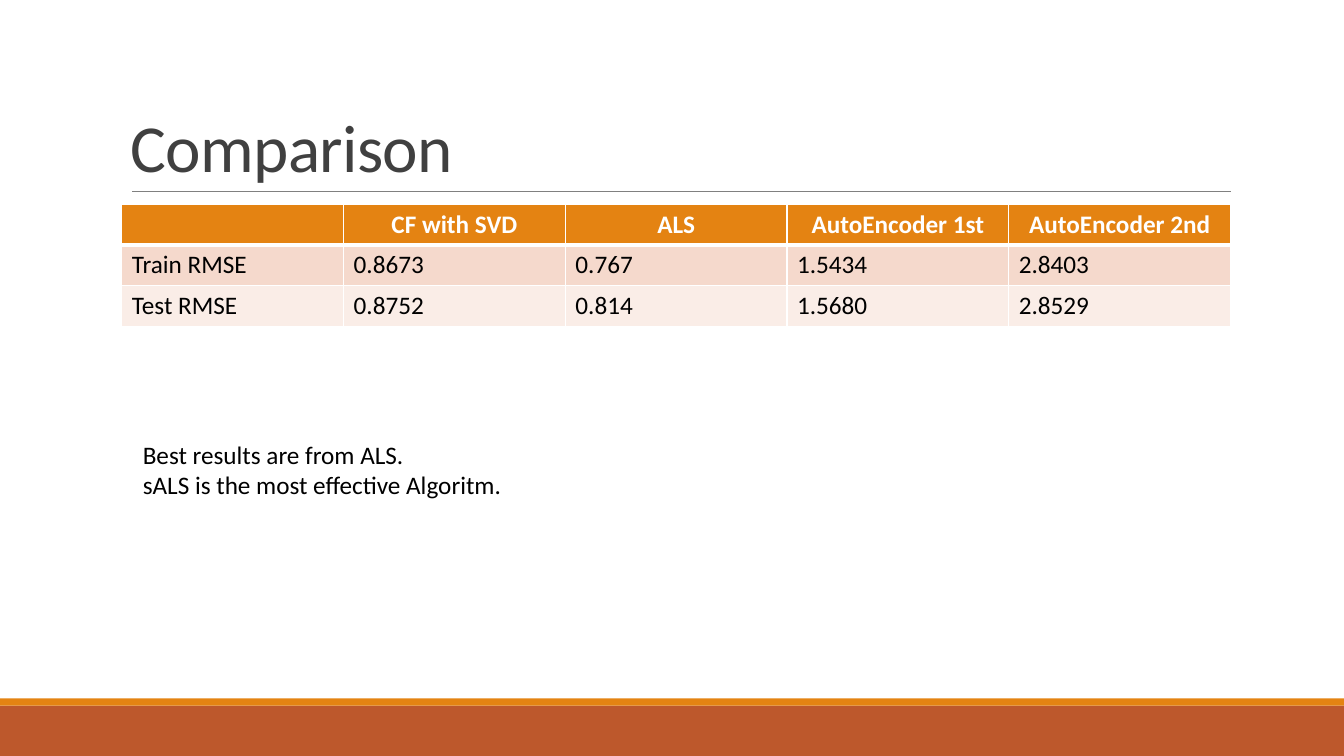
"""Build the slide that compares the errors of four recommenders."""
from dataclasses import dataclass

from lxml import etree
from pptx import Presentation
from pptx.dml.color import RGBColor
from pptx.enum.shapes import MSO_CONNECTOR, MSO_SHAPE
from pptx.enum.text import MSO_ANCHOR, PP_ALIGN
from pptx.oxml.ns import qn
from pptx.util import Cm, Pt

RECT = MSO_SHAPE.RECTANGLE
STRAIGHT = MSO_CONNECTOR.STRAIGHT
TOP, BOTTOM = MSO_ANCHOR.TOP, MSO_ANCHOR.BOTTOM
LEFT, CENTER = PP_ALIGN.LEFT, PP_ALIGN.CENTER

COLORS = {
    "rust": "BD582C",
    "orange": "E48312",
    "rule": "808080",
    "title": "404040",
    "text": "000000",
    "white": "FFFFFF",
    "odd": "F5D9CC",
    "even": "FAEDE7",
}
WIDE, HIGH = 33.87, 19.05
HEAD = {"size": Pt(18), "name": "Calibri", "bold": True}
BODY = {"size": Pt(18), "name": "Calibri", "bold": False}
TITLE = {"size": Pt(48), "name": "Calibri", "bold": False}

ROWS = [
    ["", "CF with SVD", "ALS", "AutoEncoder 1st", "AutoEncoder 2nd"],
    ["Train RMSE", "0.8673", "0.767", "1.5434", "2.8403"],
    ["Test RMSE", "0.8752", "0.814", "1.5680", "2.8529"],
]


@dataclass
class Band:
    top: float
    height: float
    color: str


@dataclass
class Note:
    box: tuple[float, float, float, float]
    lines: list[str]
    style: dict
    color: str
    anchor: MSO_ANCHOR
    wrap: bool
    pitch: float
    track: int


@dataclass
class Look:
    fill: str
    color: str
    style: dict
    align: PP_ALIGN
    edges: dict[str, float]


BANDS = [Band(17.78, 1.27, "rust"), Band(17.6, 0.18, "orange")]
NOTES = [
    Note((3.05, 0.79, 27.94, 4.04), ["Comparison"],
         TITLE, "title", BOTTOM, True, 0.85, -50),
    Note((3.35, 10.95, 9.65, 1.8),
         ["Best results are from ALS.", "sALS is the most effective Algoritm."],
         BODY, "text", TOP, False, 1.0, 0),
]
LOOKS = [
    Look("orange", "white", HEAD, CENTER, {"L": 1, "R": 1, "T": 1, "B": 3}),
    Look("odd", "text", BODY, LEFT, {"L": 1, "R": 1, "T": 3, "B": 1}),
    Look("even", "text", BODY, LEFT, {"L": 1, "R": 1, "T": 1, "B": 1}),
]


def rgb(name: str) -> RGBColor:
    return RGBColor.from_string(COLORS[name])


def paint(fill, name: str) -> None:
    fill.solid()
    fill.fore_color.rgb = rgb(name)


def style(font, values: dict, color: str) -> None:
    for key, value in values.items():
        setattr(font, key, value)
    font.color.rgb = rgb(color)


def add_band(slide, band: Band) -> None:
    shape = slide.shapes.add_shape(
        RECT, 0, Cm(band.top), Cm(WIDE), Cm(band.height))
    shape.shadow.inherit = False
    paint(shape.fill, band.color)
    shape.line.fill.background()


def add_rule(slide) -> None:
    rule = slide.shapes.add_connector(
        STRAIGHT, Cm(3.33), Cm(4.83), Cm(31.01), Cm(4.83))
    rule.line.color.rgb = rgb("rule")
    rule.line.width = Pt(0.5)
    etree.SubElement(rule._element.spPr, qn("a:effectLst"))


def add_note(slide, note: Note) -> None:
    frame = slide.shapes.add_textbox(*map(Cm, note.box)).text_frame
    frame.word_wrap = note.wrap
    frame.vertical_anchor = note.anchor
    frame.text = "\n".join(note.lines)
    for para in frame.paragraphs:
        para.line_spacing = note.pitch
        for run in para.runs:
            style(run.font, note.style, note.color)
            run.font._element.set("spc", str(note.track))


def add_edge(cell, side: str, width: float) -> None:
    props = cell._tc.get_or_add_tcPr()
    edge = etree.SubElement(props, qn(f"a:ln{side}"), w=str(Pt(width)))
    fill = etree.SubElement(edge, qn("a:solidFill"))
    etree.SubElement(fill, qn("a:srgbClr"), val=COLORS["white"])


def fill_cell(cell, text: str, look: Look) -> None:
    for side, width in look.edges.items():
        add_edge(cell, side, width)
    paint(cell.fill, look.fill)
    cell.text = text
    para = cell.text_frame.paragraphs[0]
    para.alignment = look.align
    for run in para.runs:
        style(run.font, look.style, look.color)


def add_grid(slide) -> None:
    grid = slide.shapes.add_table(
        len(ROWS), len(ROWS[0]), Cm(3.07), Cm(5.14), Cm(27.94), Cm(3.09)).table
    for row, (texts, look) in enumerate(zip(ROWS, LOOKS)):
        for col, text in enumerate(texts):
            fill_cell(grid.cell(row, col), text, look)


def main() -> None:
    deck = Presentation()
    deck.slide_width, deck.slide_height = Cm(WIDE), Cm(HIGH)
    slide = deck.slides.add_slide(deck.slide_layouts[6])
    for band in BANDS:
        add_band(slide, band)
    add_rule(slide)
    add_grid(slide)
    for note in NOTES:
        add_note(slide, note)
    deck.save("out.pptx")


if __name__ == "__main__":
    main()
